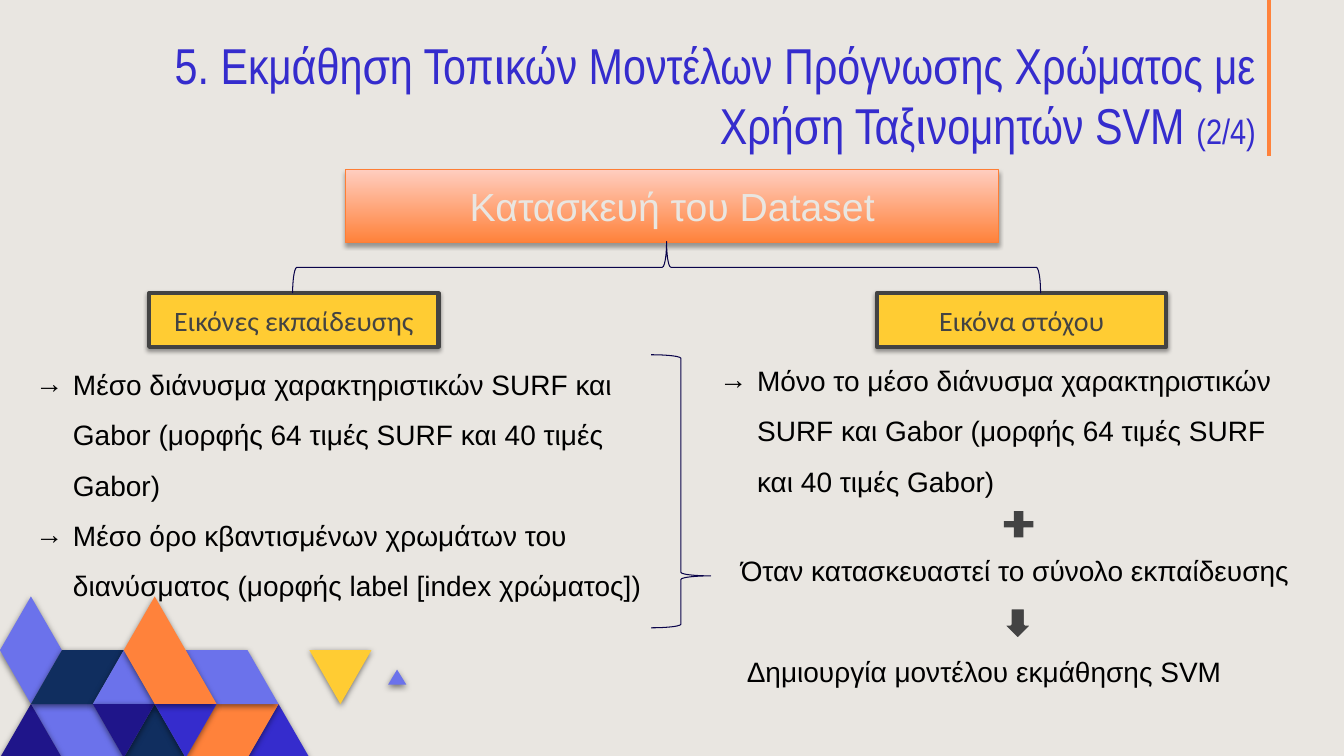
from lxml import etree
from pptx import Presentation
from pptx.dml.color import RGBColor
from pptx.enum.shapes import MSO_CONNECTOR, MSO_SHAPE
from pptx.enum.text import MSO_ANCHOR, MSO_AUTO_SIZE, PP_ALIGN
from pptx.oxml.ns import qn
from pptx.util import Cm, Pt

RECTANGLE, BRACE = MSO_SHAPE.RECTANGLE, MSO_SHAPE.RIGHT_BRACE
PLUS, DOWN_ARROW = MSO_SHAPE.CROSS, MSO_SHAPE.DOWN_ARROW
STRAIGHT = MSO_CONNECTOR.STRAIGHT
MIDDLE, BOTTOM = MSO_ANCHOR.MIDDLE, MSO_ANCHOR.BOTTOM
CENTER, RIGHT = PP_ALIGN.CENTER, PP_ALIGN.RIGHT
NO_FIT = MSO_AUTO_SIZE.NONE

BACKGROUND, BLACK, GRAY = "E9E6E1", "000000", "434343"
BLUE, PERIWINKLE, NAVY, INDIGO = "352CCD", "6B72EB", "102E5F", "1F158A"
ORANGE, PEACH, YELLOW, INK = "FF823B", "FFCDBF", "FFCC33", "0A044A"
color = RGBColor.from_string


def decorate(shape, fill=None, line=None, width=0, shadow=None):
    """Set fill, outline and shadow; shadow is (opacity %, blur pt, distance pt)."""
    shape.shadow.inherit = False
    if fill:
        shape.fill.solid()
        shape.fill.fore_color.rgb = color(fill)
    else:
        shape.fill.background()
    if line:
        shape.line.color.rgb = color(line)
        shape.line.width = Pt(width)
    else:
        shape.line.fill.background()
    if shadow:
        opacity, blur, distance = shadow
        effects = shape.element.spPr.find(qn("a:effectLst"))
        outer = etree.SubElement(
            effects, qn("a:outerShdw"), blurRad=str(Pt(blur)),
            dist=str(Pt(distance)), dir="5400000", rotWithShape="0")
        tint = etree.SubElement(outer, qn("a:srgbClr"), val=BLACK)
        etree.SubElement(tint, qn("a:alpha"), val=str(opacity * 1000))


def set_font(para, name, size, hex_color):
    para.font.name = name
    para.font.size = Pt(size)
    para.font.color.rgb = color(hex_color)


deck = Presentation()
deck.slide_width, deck.slide_height = Cm(33.87), Cm(19.05)
page = deck.slides.add_slide(deck.slide_layouts[5])
page.background.fill.solid()
page.background.fill.fore_color.rgb = color(BACKGROUND)

# Corner mosaic: corners are (half-tile column, row) on a triangular lattice
COLUMN, ROW, MOSAIC_TOP = 0.78, 1.355, 15.03
tiles = [
    (BLUE, [(10, 3), (9, 2), (8, 3)]),
    (ORANGE, [(9, 2), (7, 2), (6, 3), (8, 3)]),
    (PERIWINKLE, [(4, 3), (3, 2), (1, 2), (2, 3)]),
    (INDIGO, [(2, 3), (1, 2), (0, 3)]),
    (NAVY, [(6, 3), (5, 2), (4, 3)]),
    (PERIWINKLE, [(9, 2), (8, 1), (6, 1), (7, 2)]),
    (PERIWINKLE, [(13.13, 1.64), (12.83, 1.36), (12.54, 1.64)]),
    (YELLOW, [(12, 1), (10, 1), (11, 2)]),
    (PERIWINKLE, [(2, 1), (1, 0), (0, 1), (1, 2)]),
    (NAVY, [(4, 1), (2, 1), (1, 2), (3, 2)]),
    (PERIWINKLE, [(5, 2), (4, 1), (3, 2)]),
    (INDIGO, [(5, 2), (3, 2), (4, 3)]),
    (BLUE, [(7, 2), (5, 2), (6, 3)]),
    (ORANGE, [(7, 2), (5, 0), (4, 1), (5, 2)]),
]
for fill, corners in tiles:
    points = [(Cm(column * COLUMN), Cm(MOSAIC_TOP + row * ROW))
              for column, row in corners]
    outline = page.shapes.build_freeform(*points[0])
    outline.add_line_segments(points[1:], close=True)
    decorate(outline.convert_to_shape(), fill, shadow=(50, 4.5, 1.5))

title_rule = page.shapes.add_connector(STRAIGHT, Cm(31.98), Cm(0), Cm(31.98), Cm(3.94))
title_rule.line.color.rgb = color(ORANGE)
title_rule.line.width = Pt(2.25)
etree.SubElement(title_rule.element.spPr, qn("a:effectLst"))

title = page.shapes.title
title.left, title.top, title.width, title.height = Cm(1.93), Cm(0.7), Cm(29.97), Cm(3.45)
frame = title.text_frame
frame.word_wrap, frame.auto_size, frame.vertical_anchor = True, NO_FIT, BOTTOM
frame.margin_left = frame.margin_right = Cm(0.25)
frame.margin_top = frame.margin_bottom = Cm(0.25)
para = frame.paragraphs[0]
para.alignment = RIGHT
set_font(para, "Arial Narrow", 36, BLUE)
para.add_run().text = "5. Εκμάθηση Τοπικών Μοντέλων Πρόγνωσης Χρώματος με Χρήση Ταξινομητών SVM "
counter = para.add_run()
counter.text = "(2/4)"
counter.font.size = Pt(25.2)

# Dataset banner and the two branch labels
labels = [
    ("Κατασκευή του Dataset", (8.71, 4.27, 16.46, 1.85), ORANGE, "FE7E35", 0.75,
     (35, 3.1, 1.8), ("Arial", 28, BACKGROUND)),
    ("Εικόνες εκπαίδευσης", (3.76, 7.39, 7.29, 1.35), YELLOW, GRAY, 3,
     (38, 3.1, 1.6), ("Calibri", 20, GRAY)),
    ("Εικόνα στόχου", (22.1, 7.39, 7.29, 1.35), YELLOW, GRAY, 3,
     (38, 3.1, 1.6), ("Calibri", 20, GRAY)),
]
for text, place, fill, line, width, shadow, font in labels:
    label = page.shapes.add_shape(RECTANGLE, *map(Cm, place))
    decorate(label, fill, line, width, shadow)
    if fill == ORANGE:
        label.fill.gradient()
        label.fill.gradient_angle = 90
        for stop, shade in zip(label.fill.gradient_stops, (ORANGE, PEACH)):
            stop.color.rgb = color(shade)
    label.text_frame.vertical_anchor = MIDDLE
    para = label.text_frame.paragraphs[0]
    para.text = text
    para.alignment = CENTER
    set_font(para, *font)

# Braces and step symbols
branch_brace = page.shapes.add_shape(BRACE, Cm(16.15), Cm(-2.69), Cm(1.3), Cm(18.85))
branch_brace.rotation = 270
decorate(branch_brace, line=INK, width=0.75)

training_brace = page.shapes.add_shape(BRACE, Cm(16.41), Cm(8.94), Cm(1.5), Cm(6.88))
training_brace.adjustments[0], training_brace.adjustments[1] = 0.06, 0.81
decorate(training_brace, line=INK, width=0.75)

plus = page.shapes.add_shape(PLUS, Cm(25.3), Cm(12.88), Cm(0.74), Cm(0.66))
plus.adjustments[0] = 0.38
decorate(plus, GRAY)

arrow = page.shapes.add_shape(DOWN_ARROW, Cm(25.27), Cm(15.32), Cm(0.76), Cm(0.79))
decorate(arrow, GRAY, BACKGROUND, 2)

# Body texts: place, whether bulleted, paragraphs
texts = [
    ((0.64, 8.71, 16.28, 6.5), True,
     ["Μέσο διάνυσμα χαρακτηριστικών SURF και Gabor (μορφής 64 τιμές SURF και 40 τιμές Gabor)",
      "Μέσο όρο κβαντισμένων χρωμάτων του διανύσματος (μορφής label [index χρώματος])"]),
    ((17.88, 8.61, 15.21, 3.94), True,
     ["Μόνο το μέσο διάνυσμα χαρακτηριστικών SURF και Gabor "
      "(μορφής 64 τιμές SURF και 40 τιμές Gabor)"]),
    ((18.42, 13.82, 14.81, 1.12), False, ["Όταν κατασκευαστεί το σύνολο εκπαίδευσης"]),
    ((18.57, 16.36, 13.18, 1.12), False, ["Δημιουργία μοντέλου εκμάθησης SVM"]),
]
for place, bulleted, lines in texts:
    box = page.shapes.add_textbox(*map(Cm, place))
    box.text_frame.word_wrap = True
    box.text_frame.text = "\n".join(lines)
    for para in box.text_frame.paragraphs:
        if bulleted:
            para.line_spacing = 1.5
            properties = para._p.get_or_add_pPr()
            properties.set("marL", str(Cm(0.95)))
            properties.set("indent", str(-Cm(0.95)))
            bullet_color = etree.SubElement(properties, qn("a:buClr"))
            etree.SubElement(bullet_color, qn("a:srgbClr"), val=BLACK)
            etree.SubElement(properties, qn("a:buFont"), typeface="Arial")
            etree.SubElement(properties, qn("a:buChar"), char="→")
        set_font(para, "Arial", 20, BLACK)

deck.save("out.pptx")
